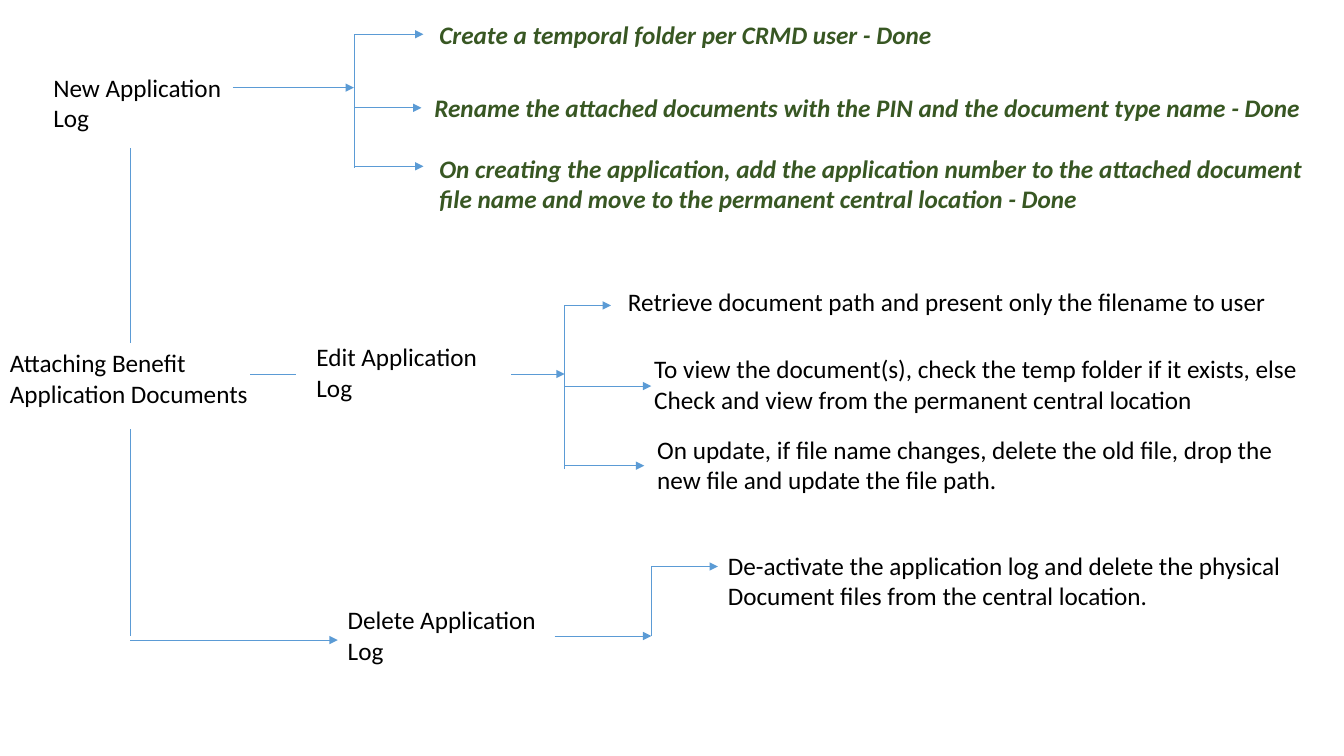
from dataclasses import dataclass

from lxml.etree import SubElement
from pptx import Presentation
from pptx.dml.color import RGBColor
from pptx.enum.shapes import MSO_CONNECTOR
from pptx.enum.text import MSO_AUTO_SIZE
from pptx.oxml.ns import qn
from pptx.util import Inches, Pt

BLACK = RGBColor(0x00, 0x00, 0x00)
GREEN = RGBColor(0x38, 0x57, 0x23)
BLUE = RGBColor(0x5B, 0x9B, 0xD5)
LINE_HEIGHT = 0.3
TEXT_PADDING = 0.1


@dataclass
class Step:
    """One step of a branch; lefts count from the spine, tops from the branch."""
    arrow_top: float
    arrow_length: float
    text_left: float
    text_top: float
    text_width: float
    text: str


def add_text(slide, left, top, width, text, color=BLACK, emphasis=False):
    """Add an unwrapped text box with one paragraph per line of text."""
    height = TEXT_PADDING + LINE_HEIGHT * len(text.split("\n"))
    box = slide.shapes.add_textbox(Inches(left), Inches(top), Inches(width), Inches(height))
    frame = box.text_frame
    frame.text = text
    frame.word_wrap = False
    frame.auto_size = MSO_AUTO_SIZE.SHAPE_TO_FIT_TEXT
    for paragraph in frame.paragraphs:
        for run in paragraph.runs:
            run.font.name = "Calibri"
            run.font.size = Pt(18)
            run.font.bold = run.font.italic = emphasis
            run.font.color.rgb = color


def add_line(slide, start_x, start_y, end_x, end_y, arrow=False):
    """Add a thin blue line, with an arrowhead at its end if asked."""
    line = slide.shapes.add_connector(
        MSO_CONNECTOR.STRAIGHT,
        Inches(start_x), Inches(start_y), Inches(end_x), Inches(end_y))
    line.line.color.rgb = BLUE
    line.line.width = Pt(0.5)
    if arrow:
        SubElement(line.line._get_or_add_ln(), qn("a:tailEnd"), type="triangle")
    SubElement(line._element.spPr, qn("a:effectLst"))


def add_branch(slide, left, top, width, label, stem, spine, steps, done=False):
    """Add a label, the stem to its spine, and the steps off the spine.

    stem is (start, end, top) and spine is (top, bottom), from the branch's corner.
    """
    add_text(slide, left, top, width, label)
    stem_start, stem_end, stem_top = stem
    spine_left = left + stem_end
    add_line(slide, left + stem_start, top + stem_top, spine_left, top + stem_top, arrow=True)
    add_line(slide, spine_left, top + spine[0], spine_left, top + spine[1])
    for step in steps:
        arrow_y = top + step.arrow_top
        add_line(slide, spine_left, arrow_y, spine_left + step.arrow_length, arrow_y, arrow=True)
        add_text(slide, spine_left + step.text_left, top + step.text_top, step.text_width,
                 step.text, GREEN if done else BLACK, emphasis=done)


def add_root(slide, left, top):
    """Add the root topic and its lines to the three branches."""
    add_text(slide, left, top, 2.59, "Attaching Benefit\nApplication Documents")
    trunk = left + 1.29
    add_line(slide, trunk, top, trunk, top - 1.93)
    add_line(slide, left + 2.48, top + 0.31, left + 2.94, top + 0.31)
    add_line(slide, trunk, top + 0.86, trunk, top + 2.91)
    add_line(slide, trunk, top + 2.95, left + 3.35, top + 2.95, arrow=True)


NEW_STEPS = [
    Step(-0.33, 0.69, 0.75, -0.53, 5.15, "Create a temporal folder per CRMD user - Done"),
    Step(0.4, 0.67, 0.7, 0.2, 8.9,
         "Rename the attached documents with the PIN and the document type name - Done"),
    Step(0.98, 0.69, 0.75, 0.8, 8.9,
         "On creating the application, add the application number to the attached document \n"
         "file name and move to the permanent central location - Done"),
]
EDIT_STEPS = [
    Step(-0.31, 0.46, 0.53, -0.55, 6.73,
         "Retrieve document path and present only the filename to user"),
    Step(0.49, 0.86, 0.79, 0.12, 6.71,
         "To view the document(s), check the temp folder if it exists, else \n"
         "Check and view from the permanent central location"),
    Step(1.28, 0.79, 0.82, 0.92, 6.45,
         "On update, if file name changes, delete the old file, drop the \n"
         "new file and update the file path."),
]
DELETE_STEPS = [
    Step(-0.33, 0.66, 0.66, -0.54, 5.81,
         "De-activate the application log and delete the physical \n"
         "Document files from the central location."),
]

presentation = Presentation()
presentation.slide_width = Inches(13.33)
presentation.slide_height = Inches(7.5)
slide = presentation.slides.add_slide(presentation.slide_layouts[6])

add_root(slide, 0, 3.4)
add_branch(slide, 0.43, 0.67, 1.95, "New Application \nLog",
           stem=(1.88, 3.08, 0.2), spine=(-0.33, 1), steps=NEW_STEPS, done=True)
add_branch(slide, 3.04, 3.34, 1.87, "Edit Application \nLog",
           stem=(2.03, 2.56, 0.37), spine=(-0.31, 1.31), steps=EDIT_STEPS)
add_branch(slide, 3.35, 5.95, 2.15, "Delete Application \nLog",
           stem=(2.15, 3.11, 0.36), spine=(-0.33, 0.36), steps=DELETE_STEPS)

presentation.save("out.pptx")
